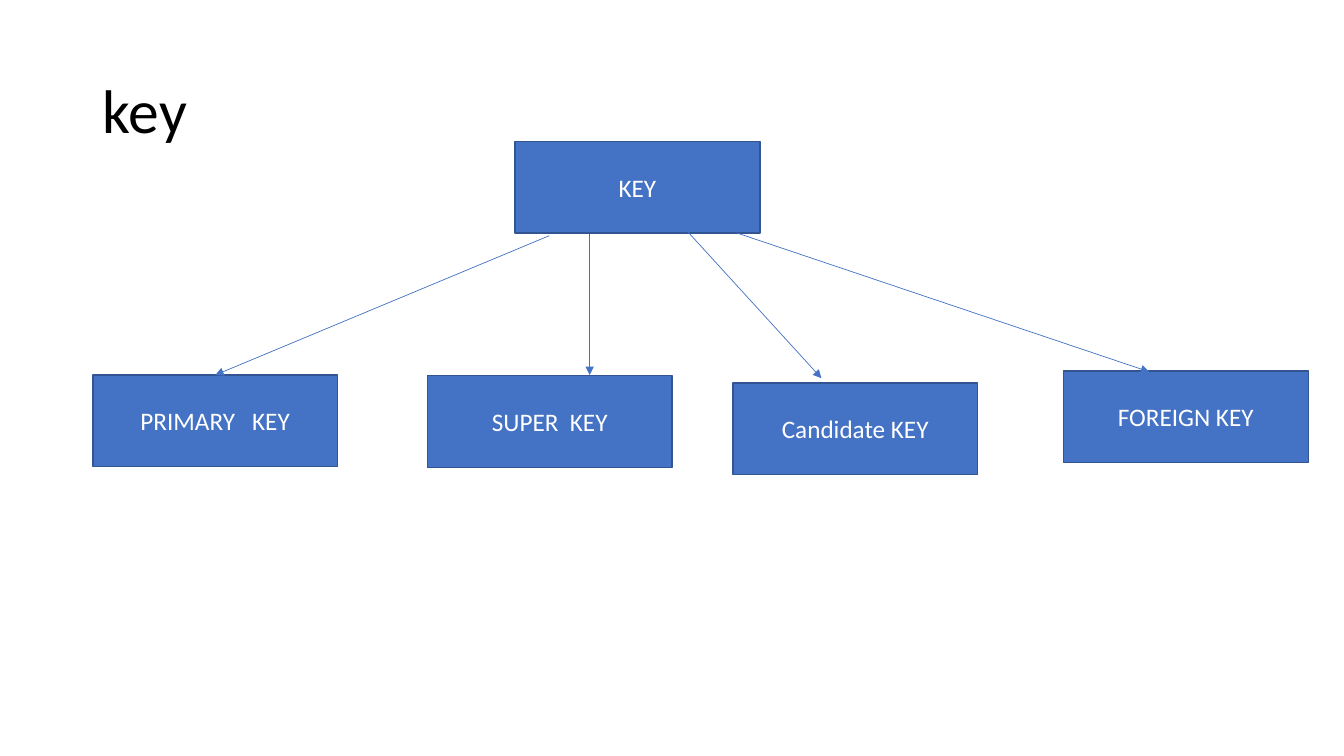
import pptx
import pptx.util
import pptx.dml.color
import pptx.enum.shapes
import pptx.enum.text
import pptx.oxml.ns
from lxml import etree

Cm = pptx.util.Cm
Pt = pptx.util.Pt
RGBColor = pptx.dml.color.RGBColor
ALIGN = pptx.enum.text.PP_ALIGN
MIDDLE = pptx.enum.text.MSO_ANCHOR.MIDDLE
qn = pptx.oxml.ns.qn

BLUE = RGBColor(0x44, 0x72, 0xC4)
EDGE = RGBColor(0x32, 0x54, 0x91)
WHITE = RGBColor(0xFF, 0xFF, 0xFF)
BLACK = RGBColor(0x00, 0x00, 0x00)


def write(shape, text, size, color, align):
    frame = shape.text_frame
    frame.word_wrap = True
    frame.vertical_anchor = MIDDLE
    para = frame.paragraphs[0]
    para.text = text
    para.alignment = align
    para.font.name = "Calibri"
    para.font.size = Pt(size)
    para.font.color.rgb = color
    return para


deck = pptx.Presentation()
deck.slide_width = Cm(33.87)
deck.slide_height = Cm(19.05)
slide = deck.slides.add_slide(deck.slide_layouts[6])

# Title
title = slide.shapes.add_textbox(Cm(2.34), Cm(1.02), Cm(29.21), Cm(3.68))
write(title, "key", 44, BLACK, ALIGN.LEFT).line_spacing = 0.9

# Root box and the four kinds of key
boxes = {}
for text, left, top in [
    ("KEY", 12.98, 3.56),
    ("FOREIGN KEY", 26.8, 9.35),
    ("Candidate KEY", 18.47, 9.65),
    ("SUPER  KEY", 10.77, 9.47),
    ("PRIMARY   KEY", 2.34, 9.45),
]:
    box = slide.shapes.add_shape(
        pptx.enum.shapes.MSO_SHAPE.RECTANGLE, Cm(left), Cm(top), Cm(6.17), Cm(2.31))
    box.shadow.inherit = False
    box.fill.solid()
    box.fill.fore_color.rgb = BLUE
    box.line.color.rgb = EDGE
    box.line.width = Pt(1)
    write(box, text, 18, WHITE, ALIGN.CENTER)
    boxes[text] = box

# Arrows from the root to each kind
arrows = []
for x1, y1, x2, y2 in [
    (13.84, 5.94, 5.42, 9.45),
    (14.86, 5.89, 14.86, 9.45),
    (16.94, 5.41, 20.7, 9.53),
    (18.57, 5.87, 28.96, 9.37),
]:
    arrow = slide.shapes.add_connector(
        pptx.enum.shapes.MSO_CONNECTOR.STRAIGHT, Cm(x1), Cm(y1), Cm(x2), Cm(y2))
    arrow.line.color.rgb = BLUE
    arrow.line.width = Pt(0.5)
    line = arrow.line._get_or_add_ln()
    etree.SubElement(line, qn("a:tailEnd"), type="triangle")
    etree.SubElement(arrow._element.spPr, qn("a:effectLst"))
    arrows.append(arrow)
arrows[0].end_connect(boxes["PRIMARY   KEY"], 0)

deck.save("out.pptx")
